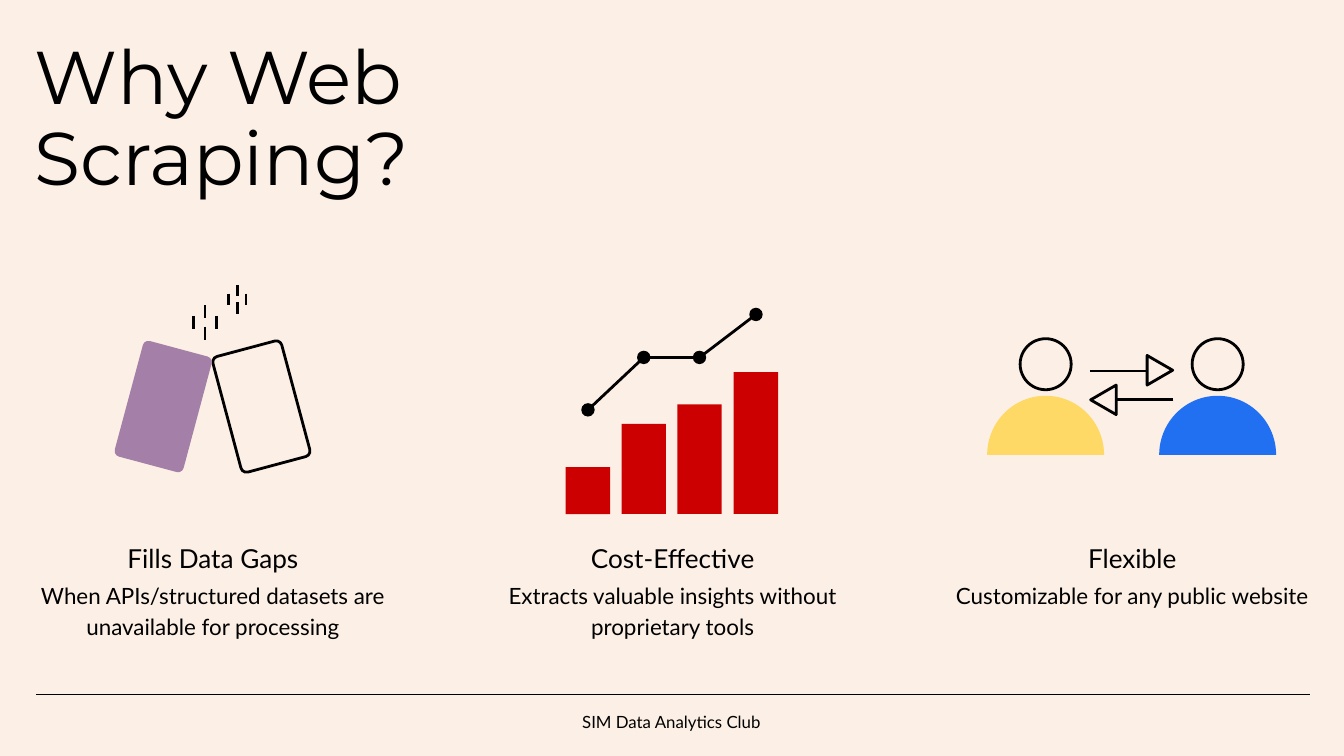
import pptx
import pptx.util
import pptx.dml.color
import pptx.enum.shapes
import pptx.enum.text
import pptx.oxml.ns
import lxml.etree

SCALE = 4572  # EMU per px, 200 px to the inch
KIND = pptx.enum.shapes.MSO_SHAPE
ALIGN = pptx.enum.text.PP_ALIGN
BLACK = "000000"


def px(*nums):
    return [pptx.util.Emu(n * SCALE) for n in nums]


def color(text):
    return pptx.dml.color.RGBColor.from_string(text)


class Deck:
    """Holds the style, the current slide and the group being drawn."""
    head, body, back = "Montserrat", "Lato", "FCEFE5"

    def __init__(self, wide, high):
        self.file = pptx.Presentation()
        self.file.slide_width, self.file.slide_height = px(wide, high)

    def page(self):
        self.slide = self.file.slides.add_slide(self.file.slide_layouts[5])
        fill = self.slide.background.fill
        fill.solid()
        fill.fore_color.rgb = color(self.back)
        self.host = self.slide.shapes

    def group(self):
        self.host = self.slide.shapes.add_group_shape().shapes

    def label(self, box, text, size, font, align, space, after=0):
        frame = box.text_frame
        frame.word_wrap = True
        frame.auto_size = pptx.enum.text.MSO_AUTO_SIZE.NONE
        frame.vertical_anchor = pptx.enum.text.MSO_ANCHOR.TOP
        frame.margin_left, frame.margin_top = px(20, 20)
        frame.margin_right, frame.margin_bottom = px(20, 20)
        para = frame.paragraphs[0]
        para.alignment, para.line_spacing = align, space
        para.space_before = pptx.util.Pt(0)
        para.space_after = pptx.util.Pt(after)
        run = para.add_run()
        run.text = text
        run.font.name, run.font.size = font, pptx.util.Pt(size)
        run.font.color.rgb = color(BLACK)

    def title(self, text, x, y, w, h):
        box = self.slide.shapes.title
        box.left, box.top, box.width, box.height = px(x, y, w, h)
        self.label(box, text, 40, self.head, ALIGN.LEFT, 0.9)

    def text(self, text, x, y, w, h, size, after=12):
        box = self.slide.shapes.add_textbox(*px(x, y, w, h))
        self.label(box, text, size, self.body, ALIGN.CENTER, 1.15, after)

    def shape(self, kind, x, y, w, h, fill=None, turn=0, adjust=()):
        """Filled without an outline, or outlined when no fill is given."""
        item = self.host.add_shape(kind, *px(x, y, w, h))
        item.shadow.inherit = False
        item.rotation = turn
        for i, num in enumerate(adjust):
            item.adjustments[i] = num
        if fill:
            item.fill.solid()
            item.fill.fore_color.rgb = color(fill)
            item.line.fill.background()
        else:
            item.fill.background()
            item.line.color.rgb = color(BLACK)
            item.line.width = pptx.util.Pt(1.5)

    def line(self, x1, y1, x2, y2, width=1.5):
        item = self.host.add_connector(
            pptx.enum.shapes.MSO_CONNECTOR.STRAIGHT, *px(x1, y1, x2, y2))
        item.line.color.rgb = color(BLACK)
        item.line.width = pptx.util.Pt(width)
        lxml.etree.SubElement(item._element.spPr,
                              pptx.oxml.ns.qn("a:effectLst"))

    def spark(self, x, y, wide, high, dash):
        """Four upright dashes around a centre."""
        for dx, dy in ((0, -high), (0, high), (wide, 0), (-wide, 0)):
            top = y + dy - dash // 2
            self.line(x + dx, top, x + dx, top + dash)

    def person(self, x, y, fill):
        self.shape(KIND.PIE, x, y + 86, 176, 174, fill, 90, (54, 162))
        self.shape(KIND.OVAL, x + 50, y, 76, 76)


def main():
    deck = Deck(2000, 1125)
    deck.page()
    deck.line(54, 1034, 1950, 1034, 0.75)
    deck.title("Why Web Scraping?", 32, 40, 986, 248)

    # Three columns of captions
    columns = (
        ("Fills Data Gaps",
         "When APIs/structured datasets are unavailable for processing"),
        ("Cost-Effective",
         "Extracts valuable insights without proprietary tools"),
        ("Flexible", "Customizable for any public website"),
    )
    for i, (name, note) in enumerate(columns):
        left = 33 + 684 * i
        deck.text(note, left, 840, 568, 160, 12)
        deck.text(name, left, 780, 568, 68, 14, 0)

    # Two people trading arrows
    deck.group()
    deck.line(1622, 552, 1708, 552)
    deck.shape(KIND.ISOSCELES_TRIANGLE, 1704, 532, 44, 38, turn=90)
    deck.line(1746, 594, 1660, 594)
    deck.shape(KIND.ISOSCELES_TRIANGLE, 1620, 576, 44, 38, turn=270)
    for i, fill in enumerate(("FFD966", "2170F2")):
        deck.person(1468 + 256 * i, 504, fill)

    # Two cards with sparks
    deck.group()
    deck.spark(305, 480, 17, 16, 20)
    deck.spark(353, 445, 13, 13, 17)
    for left, fill, turn in ((336, None, 345), (190, "A47FA7", 15)):
        deck.shape(KIND.ROUNDED_RECTANGLE, left, 516, 106, 178, fill, turn,
                   (0.08,))

    # Rising bars with a trend of joined dots
    deck.group()
    base, wide = 765, 66
    lefts = [842 + 250 * i // 3 for i in range(4)]
    for left, high in zip(lefts, (70, 134, 163, 211)):
        deck.shape(KIND.RECTANGLE, left, base - high, wide, high, "CC0000")
    dots = [(left + wide // 2, y)
            for left, y in zip(lefts, (610, 532, 532, 468))]
    for x, y in dots:
        deck.shape(KIND.OVAL, x - 10, y - 10, 20, 20, BLACK)
    for start, end in zip(dots, dots[1:]):
        deck.line(*start, *end)

    # Footer
    deck.text("SIM Data Analytics Club", 836, 1034, 326, 68, 9)
    deck.file.save("out.pptx")


if __name__ == "__main__":
    main()
